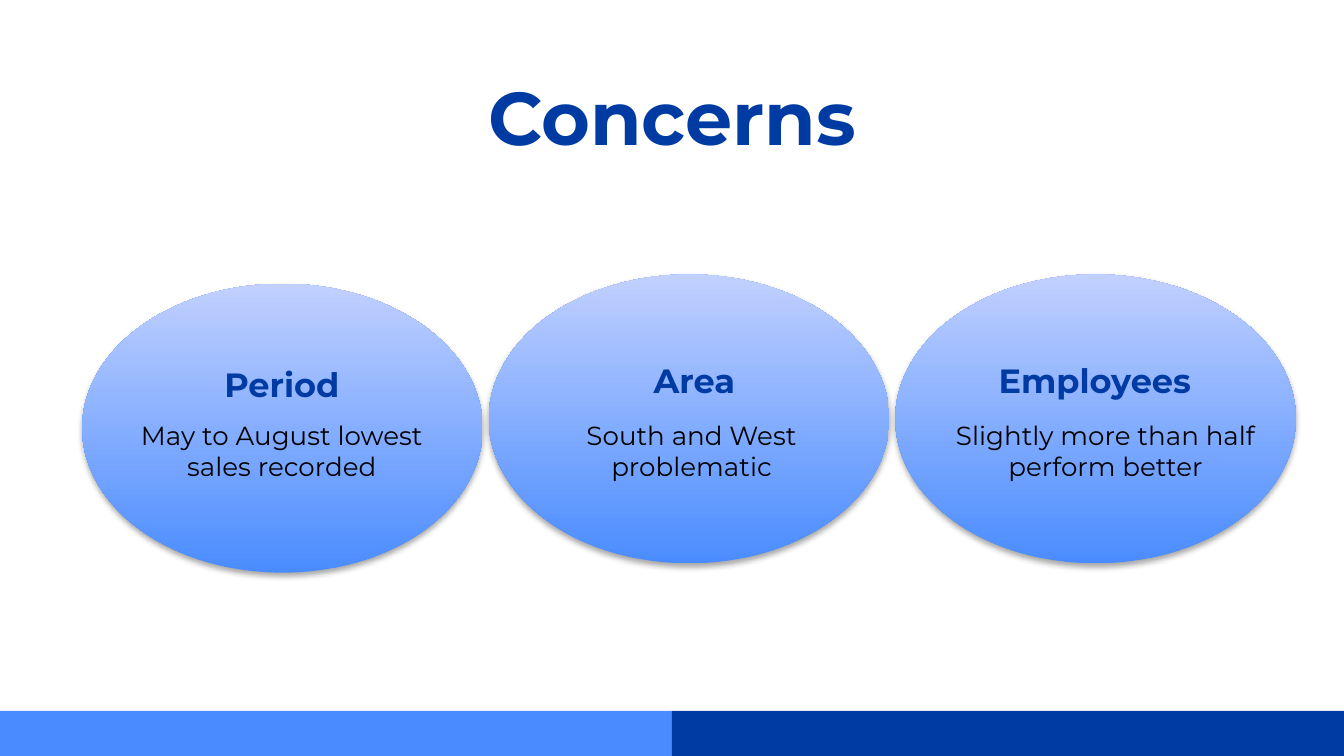
"""Build the Concerns slide: three shaded ovals above a two-tone footer."""
from lxml import etree
from pptx import Presentation
from pptx import util as u
from pptx.dml import color
from pptx.enum import shapes, text
from pptx.oxml import ns

Pt = u.Pt


class Theme:
    font = "Montserrat"
    navy = color.RGBColor.from_string("003BA3")
    blue = color.RGBColor.from_string("4A8CFF")
    pale = color.RGBColor.from_string("C1D0FF")
    black = color.RGBColor.from_string("000000")
    title, heading, body = 40, 18, 14


def write(s, wording, size, rgb, bold=False, after=0):
    tf = s.text_frame
    tf.word_wrap = True
    tf.auto_size = text.MSO_AUTO_SIZE.NONE
    tf.vertical_anchor = text.MSO_ANCHOR.TOP
    tf.margin_left = tf.margin_right = tf.margin_top = tf.margin_bottom = Pt(7.2)
    p = tf.paragraphs[0]
    p.alignment = text.PP_ALIGN.CENTER
    p.space_before, p.space_after = Pt(0), Pt(after)
    r = p.add_run()
    r.text = wording
    r.font.name, r.font.size, r.font.bold = Theme.font, Pt(size), bold
    r.font.color.rgb = rgb


def add_shadow(s):
    effects = etree.SubElement(s._element.spPr, ns.qn("a:effectLst"))
    shadow = etree.SubElement(
        effects, ns.qn("a:outerShdw"), blurRad=str(Pt(3.1)), dist=str(Pt(1.8)),
        dir="5400000", algn="ctr", rotWithShape="0")
    rgb = etree.SubElement(shadow, ns.qn("a:srgbClr"), val=str(Theme.black))
    etree.SubElement(rgb, ns.qn("a:alpha"), val="35000")


prs = Presentation()
prs.slide_width, prs.slide_height = Pt(720), Pt(405)
slide = prs.slides.add_slide(prs.slide_layouts[5])

for x, rgb in [(0, Theme.blue), (360, Theme.navy)]:
    s = slide.shapes.add_shape(
        shapes.MSO_SHAPE.RECTANGLE, Pt(x), Pt(380.8), Pt(360), Pt(24.2))
    s.shadow.inherit = False
    s.fill.solid()
    s.fill.fore_color.rgb = rgb
    s.line.fill.background()

s = slide.shapes.title
s.left, s.top, s.width, s.height = Pt(56.5), Pt(30.5), Pt(607), Pt(70.5)
write(s, "Concerns", Theme.title, Theme.navy, bold=True)

concerns = [
    ("Period", "May to August lowest sales recorded", 152, 62, 188, 62),
    ("Area", "South and West problematic", 147, 283, 185.8, 281.5),
    ("Employees", "Slightly more than half perform better", 147, 497.5, 185.8, 503.3),
]
for i, (heading, body, oval_y, heading_x, heading_y, body_x) in enumerate(concerns):
    s = slide.shapes.add_shape(
        shapes.MSO_SHAPE.OVAL, Pt(44 + 217.8 * i), Pt(oval_y), Pt(214.6), Pt(154.8))
    s.fill.gradient()
    s.fill.gradient_angle = 90
    for stop, rgb in zip(s.fill.gradient_stops, (Theme.blue, Theme.pale)):
        stop.color.rgb = rgb
    s.fill.gradient_stops[0].position = 0
    s.fill.gradient_stops[1].position = 1
    s.line.fill.background()
    add_shadow(s)

    s = slide.shapes.add_textbox(Pt(heading_x), Pt(heading_y), Pt(178), Pt(32.4))
    write(s, heading, Theme.heading, Theme.navy, bold=True, after=16)
    s = slide.shapes.add_textbox(Pt(body_x), Pt(217.5), Pt(178), Pt(57))
    write(s, body, Theme.body, Theme.black, after=16)

prs.save("out.pptx")
